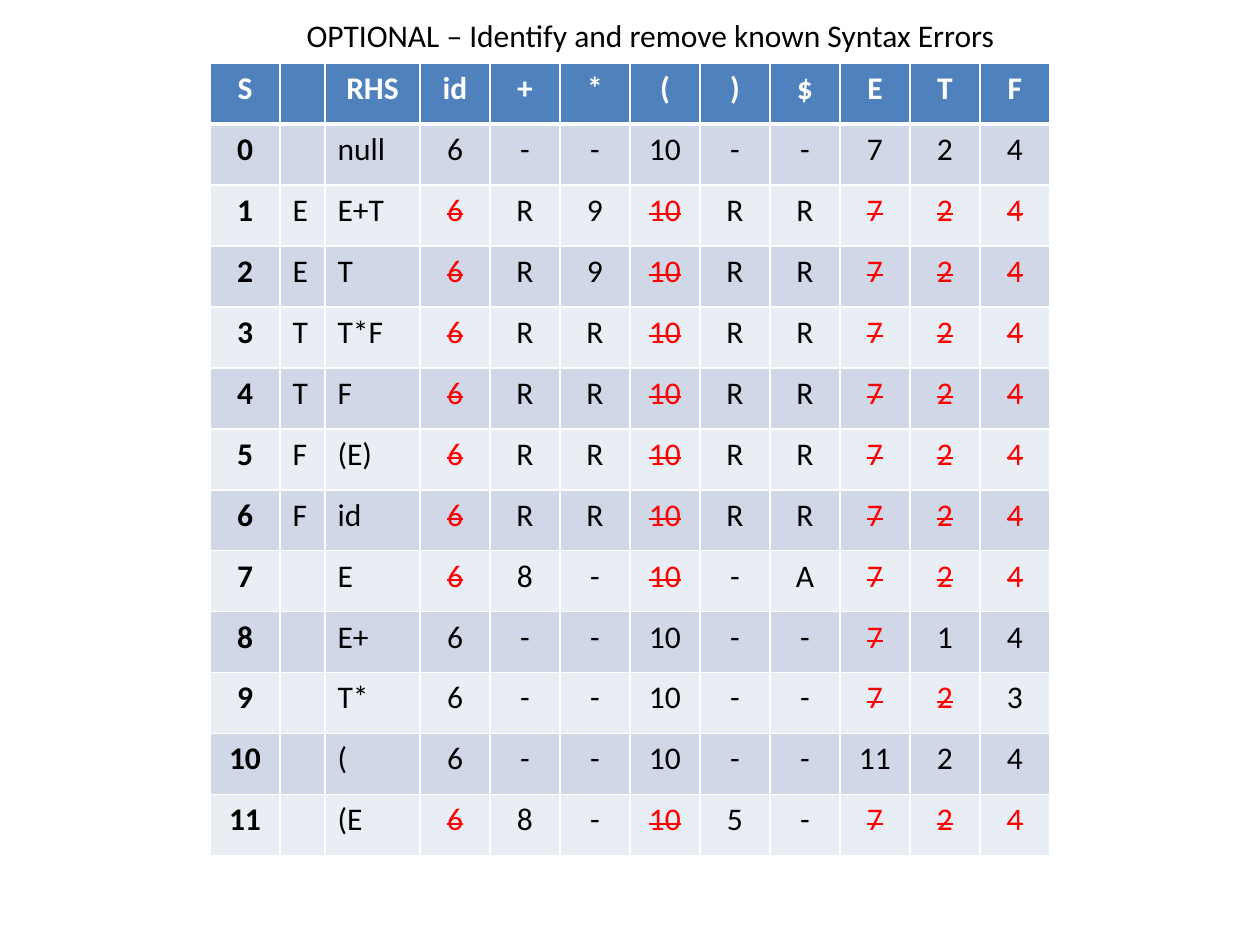
"""Build a slide with an LR parsing table whose known syntax errors are struck out."""
from lxml.etree import SubElement
from pptx import Presentation
from pptx.dml.color import RGBColor
from pptx.enum.text import MSO_ANCHOR, PP_ALIGN
from pptx.oxml.ns import qn
from pptx.util import Pt

HEADING = "OPTIONAL – Identify and remove known Syntax Errors"
STRUCK = "~"
COLUMNS = ["S", "", "RHS", "id", "+", "*", "(", ")", "$", "E", "T", "F"]
STATES = [
    ["0", "", "null", "6", "-", "-", "10", "-", "-", "7", "2", "4"],
    ["1", "E", "E+T", "~6", "R", "9", "~10", "R", "R", "~7", "~2", "~4"],
    ["2", "E", "T", "~6", "R", "9", "~10", "R", "R", "~7", "~2", "~4"],
    ["3", "T", "T*F", "~6", "R", "R", "~10", "R", "R", "~7", "~2", "~4"],
    ["4", "T", "F", "~6", "R", "R", "~10", "R", "R", "~7", "~2", "~4"],
    ["5", "F", "(E)", "~6", "R", "R", "~10", "R", "R", "~7", "~2", "~4"],
    ["6", "F", "id", "~6", "R", "R", "~10", "R", "R", "~7", "~2", "~4"],
    ["7", "", "E", "~6", "8", "-", "~10", "-", "A", "~7", "~2", "~4"],
    ["8", "", "E+", "6", "-", "-", "10", "-", "-", "~7", "1", "4"],
    ["9", "", "T*", "6", "-", "-", "10", "-", "-", "~7", "~2", "3"],
    ["10", "", "(", "6", "-", "-", "10", "-", "-", "11", "2", "4"],
    ["11", "", "(E", "~6", "8", "-", "~10", "5", "-", "~7", "~2", "~4"],
]
WIDTHS = [70, 45, 95] + [70] * 9
ROW_HEIGHT = 61
LEFT_COLUMNS = (1, 2)
WHITE, BLACK, RED = "FFFFFF", "000000", "FF0000"
HEADER_FILL = "4F81BD"
BANDS = ["E9EDF4", "D0D8E8"]


def px(length):
    return round(length * 914400 / 126)


def color(hex_code):
    return RGBColor.from_string(hex_code)


def style(paragraph, hex_code, bold, align):
    paragraph.alignment = align
    font = paragraph.font
    font.name, font.size, font.bold = "Calibri", Pt(18), bold
    font.color.rgb = color(hex_code)


def set_borders(cell, top, bottom):
    properties = cell._tc.get_or_add_tcPr()
    sides = {"a:lnL": 1, "a:lnR": 1, "a:lnT": top, "a:lnB": bottom}
    for position, (side, points) in enumerate(sides.items()):
        border = SubElement(properties, qn(side), w=str(Pt(points)))
        SubElement(SubElement(border, qn("a:solidFill")), qn("a:srgbClr"), val=WHITE)
        properties.insert(position, border)


def fill_cell(cell, entry, row, column):
    header = row == 0
    struck = entry.startswith(STRUCK)
    paragraph = cell.text_frame.paragraphs[0]
    if entry:
        run = paragraph.add_run()
        run.text = entry.removeprefix(STRUCK)
        if struck:
            run._r.get_or_add_rPr().set("strike", "sngStrike")
    ink = WHITE if header else RED if struck else BLACK
    centred = header or column not in LEFT_COLUMNS
    style(paragraph, ink, header or column == 0,
          PP_ALIGN.CENTER if centred else PP_ALIGN.LEFT)
    cell.fill.solid()
    cell.fill.fore_color.rgb = color(HEADER_FILL if header else BANDS[row % 2])
    set_borders(cell, top=3 if row == 1 else 1, bottom=3 if header else 1)


def add_heading(slide):
    heading = slide.shapes.title
    heading.left, heading.top, heading.width, heading.height = map(px, (294, 10, 728, 50))
    frame = heading.text_frame
    frame.text = HEADING
    frame.word_wrap = False
    frame.vertical_anchor = MSO_ANCHOR.TOP
    style(frame.paragraphs[0], BLACK, False, PP_ALIGN.LEFT)


def add_parsing_table(slide):
    rows = [COLUMNS] + STATES
    table = slide.shapes.add_table(
        len(rows), len(COLUMNS), px(210), px(63),
        px(sum(WIDTHS)), px(ROW_HEIGHT * len(rows))).table
    for column, width in zip(table.columns, WIDTHS):
        column.width = px(width)
    for row, entries in enumerate(rows):
        table.rows[row].height = px(ROW_HEIGHT)
        for column, entry in enumerate(entries):
            fill_cell(table.cell(row, column), entry, row, column)


def main():
    deck = Presentation()
    deck.slide_width, deck.slide_height = px(1260), px(945)
    slide = deck.slides.add_slide(deck.slide_layouts[5])
    add_heading(slide)
    add_parsing_table(slide)
    deck.save("out.pptx")


if __name__ == "__main__":
    main()
